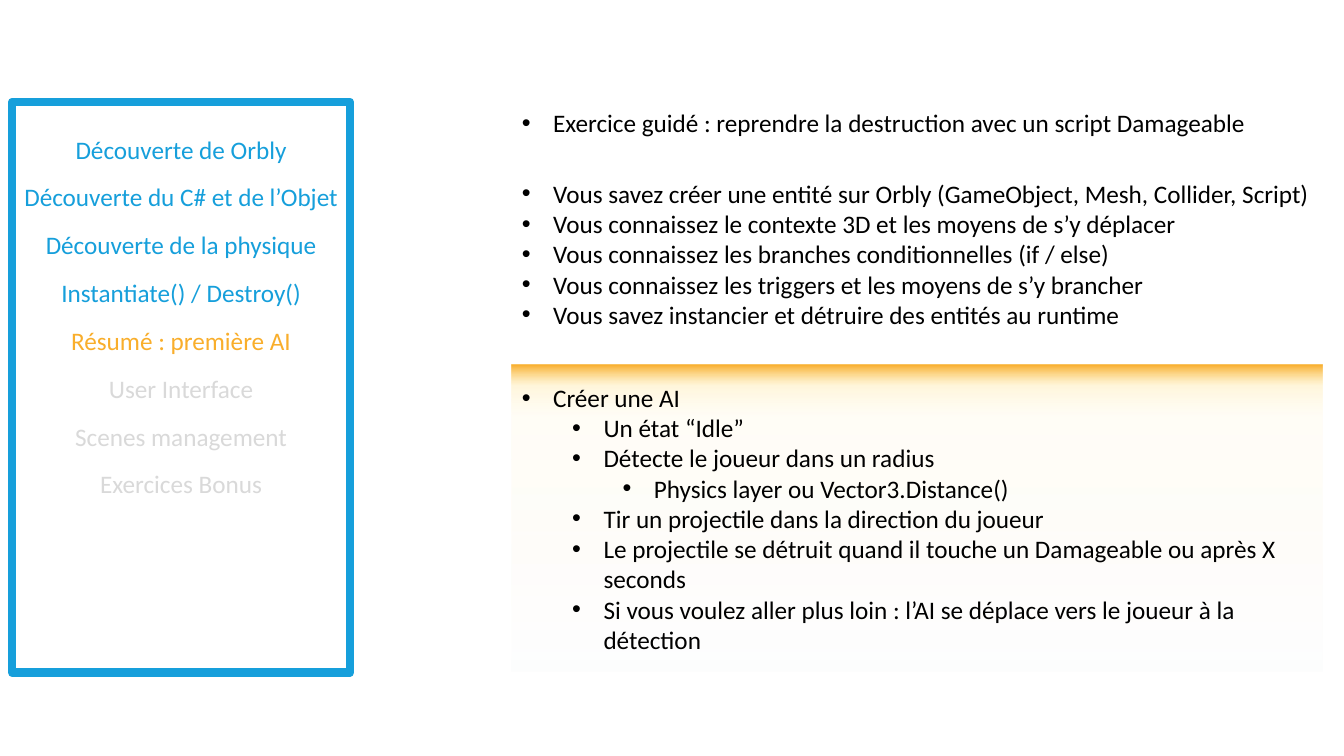
"""Build the course progress slide: agenda on the left, recap and exercise on the right."""
from lxml import etree
from pptx import Presentation
from pptx import util as u
from pptx.dml import color
from pptx.enum import shapes, text
from pptx.oxml import ns

BLUE, ORANGE, GREY, BLACK = "169FDB", "F9AE2B", "D9D9D9", "000000"

AGENDA = [
    ("Découverte de Orbly", BLUE),
    ("Découverte du C# et de l’Objet", BLUE),
    ("Découverte de la physique", BLUE),
    ("Instantiate() / Destroy()", BLUE),
    ("Résumé : première AI", ORANGE),
    ("User Interface", GREY),
    ("Scenes management", GREY),
    ("Exercices Bonus", GREY),
]
GUIDED = [("Exercice guidé : reprendre la destruction avec un script Damageable", 0)]
RECAP = [
    ("Vous savez créer une entité sur Orbly (GameObject, Mesh, Collider, Script)", 0),
    ("Vous connaissez le contexte 3D et les moyens de s’y déplacer", 0),
    ("Vous connaissez les branches conditionnelles (if / else)", 0),
    ("Vous connaissez les triggers et les moyens de s’y brancher", 0),
    ("Vous savez instancier et détruire des entités au runtime", 0),
]
EXERCISE = [
    ("Créer une AI", 0),
    ("Un état “Idle”", 1),
    ("Détecte le joueur dans un radius", 1),
    ("Physics layer ou Vector3.Distance()", 2),
    ("Tir un projectile dans la direction du joueur", 1),
    ("Le projectile se détruit quand il touche un Damageable ou après X seconds", 1),
    ("Si vous voulez aller plus loin : l’AI se déplace vers le joueur à la détection", 1),
]
GLOW_STOPS = [(0, "F6F8FC", 20), (83, "FFF2CC", 16), (93, "FFE699", 35), (100, ORANGE, 100)]


def rgb(value):
    """Turn a hex string into a colour."""
    return color.RGBColor.from_string(value)


def write(paragraph, content, *, font="Calibri", size=18, ink=BLACK, align=text.PP_ALIGN.LEFT):
    """Add formatted text to a paragraph."""
    paragraph.alignment = align
    run = paragraph.add_run()
    run.text = content
    run.font.name = font
    run.font.size = u.Pt(size)
    run.font.color.rgb = rgb(ink)


class SlideBuilder:
    """Hold the style and the current slide."""

    indent = 0.79
    level_step = 1.27

    def __init__(self, slide):
        """Keep the slide to draw on."""
        self.slide = slide

    def rectangle(self, box):
        """Add a plain rectangle without fill, line or shadow."""
        shape = self.slide.shapes.add_shape(shapes.MSO_SHAPE.RECTANGLE, *map(u.Cm, box))
        shape.shadow.inherit = False
        shape.fill.background()
        shape.line.fill.background()
        return shape

    def frame(self, box, line, width):
        """Add an outlined rectangle."""
        shape = self.rectangle(box)
        shape.line.color.rgb = rgb(line)
        shape.line.width = u.Pt(width)

    def gradient_panel(self, box, stops):
        """Add a rectangle whose gradient runs from bottom to top."""
        shape = self.rectangle(box)
        gradient = etree.Element(ns.qn("a:gradFill"), rotWithShape="1")
        stop_list = etree.SubElement(gradient, ns.qn("a:gsLst"))
        for position, value, opacity in stops:
            stop = etree.SubElement(stop_list, ns.qn("a:gs"), pos=str(position * 1000))
            tint = etree.SubElement(stop, ns.qn("a:srgbClr"), val=value)
            etree.SubElement(tint, ns.qn("a:alpha"), val=str(opacity * 1000))
        etree.SubElement(gradient, ns.qn("a:lin"), ang=str(270 * 60000), scaled="0")
        properties = shape.element.spPr
        properties.replace(properties.find(ns.qn("a:noFill")), gradient)
        return shape

    def text_box(self, box):
        """Add a wrapping text box that grows with its text."""
        shape = self.slide.shapes.add_textbox(*map(u.Cm, box))
        shape.text_frame.word_wrap = True
        shape.text_frame.auto_size = text.MSO_AUTO_SIZE.SHAPE_TO_FIT_TEXT
        return shape

    def label(self, box, content, ink):
        """Add one centred line of text."""
        paragraph = self.text_box(box).text_frame.paragraphs[0]
        write(paragraph, content, ink=ink, align=text.PP_ALIGN.CENTER)

    def bullets(self, shape, items):
        """Fill a shape with bulleted lines at their levels."""
        text_frame = shape.text_frame
        text_frame.vertical_anchor = text.MSO_ANCHOR.MIDDLE
        for index, (content, level) in enumerate(items):
            paragraph = text_frame.add_paragraph() if index else text_frame.paragraphs[0]
            paragraph.level = level
            write(paragraph, content)
            properties = paragraph._p.get_or_add_pPr()
            properties.set("marL", str(u.Cm(self.indent + level * self.level_step)))
            properties.set("indent", str(-u.Cm(self.indent)))
            etree.SubElement(properties, ns.qn("a:buFont"), typeface="Arial")
            etree.SubElement(properties, ns.qn("a:buChar"), char="•")


def main():
    """Draw the slide and save it."""
    presentation = Presentation()
    presentation.slide_width, presentation.slide_height = u.Cm(33.87), u.Cm(19.05)
    builder = SlideBuilder(presentation.slides.add_slide(presentation.slide_layouts[6]))

    left, width, line_height = 0.31, 8.51, 1.03
    builder.frame((left, 2.57, width, 14.38), BLUE, 6)
    for row, (topic, ink) in enumerate(AGENDA):
        builder.label((left, 3.25 + row * 1.205, width, line_height), topic, ink)

    left, width = 12.9, 20.42
    builder.bullets(builder.text_box((left, 2.57, width, line_height)), GUIDED)
    builder.bullets(builder.text_box((left, 4.34, width, 4.11)), RECAP)
    builder.bullets(builder.gradient_panel((left, 9.2, width, 7.72), GLOW_STOPS), EXERCISE)

    presentation.save("out.pptx")


if __name__ == "__main__":
    main()
